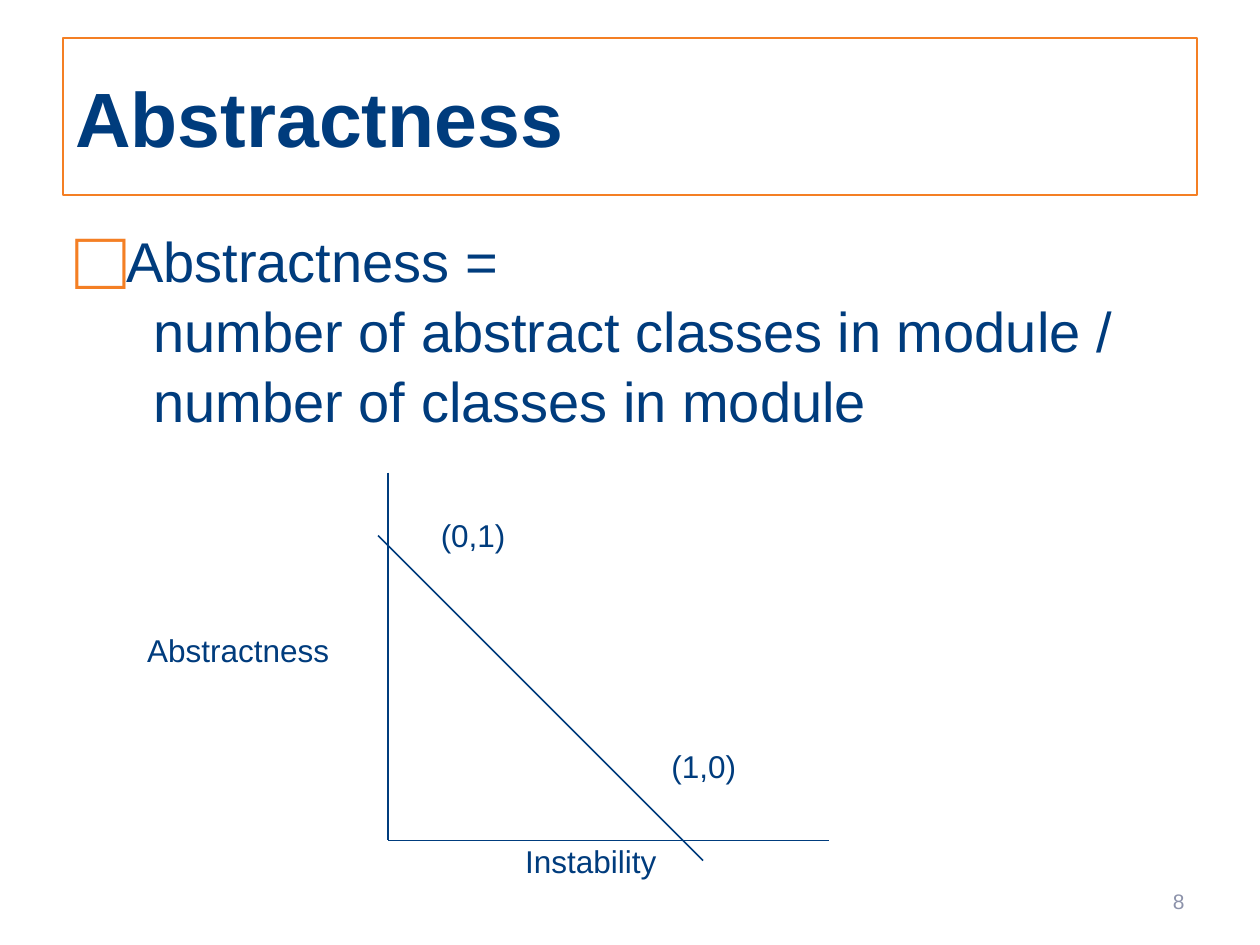
"""Build the Abstractness slide with its abstractness and instability diagram."""
from dataclasses import dataclass, field

from lxml.etree import SubElement
from pptx import Presentation
from pptx.dml.color import RGBColor
from pptx.enum.shapes import MSO_CONNECTOR as Connector
from pptx.enum.text import MSO_ANCHOR as Anchor, MSO_AUTO_SIZE as AutoSize, PP_ALIGN as Align
from pptx.oxml.ns import qn
from pptx.util import Inches, Pt

COLORS = {"navy": "003C7D", "orange": "F47F24", "gray": "8C92AA"}
FONT = "Arial"
BULLET_HANG = 0.38
FORMULA_INDENT = 0.62
LABEL_FRAME = {"word_wrap": False, "auto_size": AutoSize.SHAPE_TO_FIT_TEXT}


@dataclass
class Caption:
    lines: list[str]
    box: tuple[float, float, float, float]
    size: float = 18
    color: str = "navy"
    bold: bool = False
    align: Align = Align.LEFT
    frame: dict = field(default_factory=lambda: {"word_wrap": True})


@dataclass
class Segment:
    start: tuple[float, float]
    end: tuple[float, float]


def rgb(name: str) -> RGBColor:
    return RGBColor.from_string(COLORS[name])


def draw_caption(slide, caption: Caption):
    box = slide.shapes.add_textbox(*map(Inches, caption.box))
    frame = box.text_frame
    for name, value in caption.frame.items():
        setattr(frame, name, value)
    frame.text = "\n".join(caption.lines)
    font_format = {"name": FONT, "size": Pt(caption.size), "bold": caption.bold}
    for paragraph in frame.paragraphs:
        paragraph.alignment = caption.align
        font = paragraph.runs[0].font
        for name, value in font_format.items():
            setattr(font, name, value)
        font.color.rgb = rgb(caption.color)
    return box


def draw_segment(slide, segment: Segment) -> None:
    line = slide.shapes.add_connector(
        Connector.STRAIGHT, *map(Inches, segment.start + segment.end))
    line.line.color.rgb = rgb("navy")
    line.line.width = Pt(1)
    SubElement(line._element.spPr, qn("a:effectLst"))


def add_bullet(paragraph) -> None:
    properties = paragraph._p.get_or_add_pPr()
    properties.set("marL", str(Inches(BULLET_HANG)))
    properties.set("indent", str(-Inches(BULLET_HANG)))
    color = SubElement(properties, qn("a:buClr"))
    SubElement(color, qn("a:srgbClr"), val=COLORS["orange"])
    SubElement(properties, qn("a:buSzPct"), val="150000")
    SubElement(properties, qn("a:buFont"), typeface=FONT)
    SubElement(properties, qn("a:buChar"), char="□")


def draw_definition(slide, definition: Caption) -> None:
    term, *formula = draw_caption(slide, definition).text_frame.paragraphs
    term.space_before = Pt(3.6)
    add_bullet(term)
    for paragraph in formula:
        paragraph.space_before = Pt(1.5)
        paragraph._p.get_or_add_pPr().set("marL", str(Inches(FORMULA_INDENT)))


def main() -> None:
    deck = Presentation()
    deck.slide_width, deck.slide_height = Inches(10), Inches(7.5)
    slide = deck.slides.add_slide(deck.slide_layouts[6])

    middle = {"word_wrap": True, "vertical_anchor": Anchor.MIDDLE}
    draw_caption(slide, Caption(["8"], (7.17, 6.95, 2.33, 0.4), 12, "gray",
                                align=Align.RIGHT, frame=middle))
    title = draw_caption(slide, Caption(["Abstractness"], (0.5, 0.3, 9, 1.25), 44,
                                        bold=True, frame=middle))
    title.line.color.rgb = rgb("orange")
    title.line.width = Pt(1)
    draw_definition(slide, Caption(
        ["Abstractness =", "number of abstract classes in module /",
         "number of classes in module"], (0.5, 1.75, 9, 5.17), 32))

    origin = (3.08, 6.67)
    for segment in (Segment((3.08, 3.75), origin), Segment(origin, (6.58, 6.67)),
                    Segment((3, 4.25), (5.58, 6.83))):
        draw_segment(slide, segment)

    for text, left, top, width in (
            ("Abstractness", 1.07, 4.96, 1.9), ("Instability", 4.07, 6.63, 1.55),
            ("(0,1)", 3.4, 4.05, 0.84), ("(1,0)", 5.23, 5.88, 0.84)):
        draw_caption(slide, Caption([text], (left, top, width, 0.5), frame=LABEL_FRAME))

    deck.save("out.pptx")


main()
